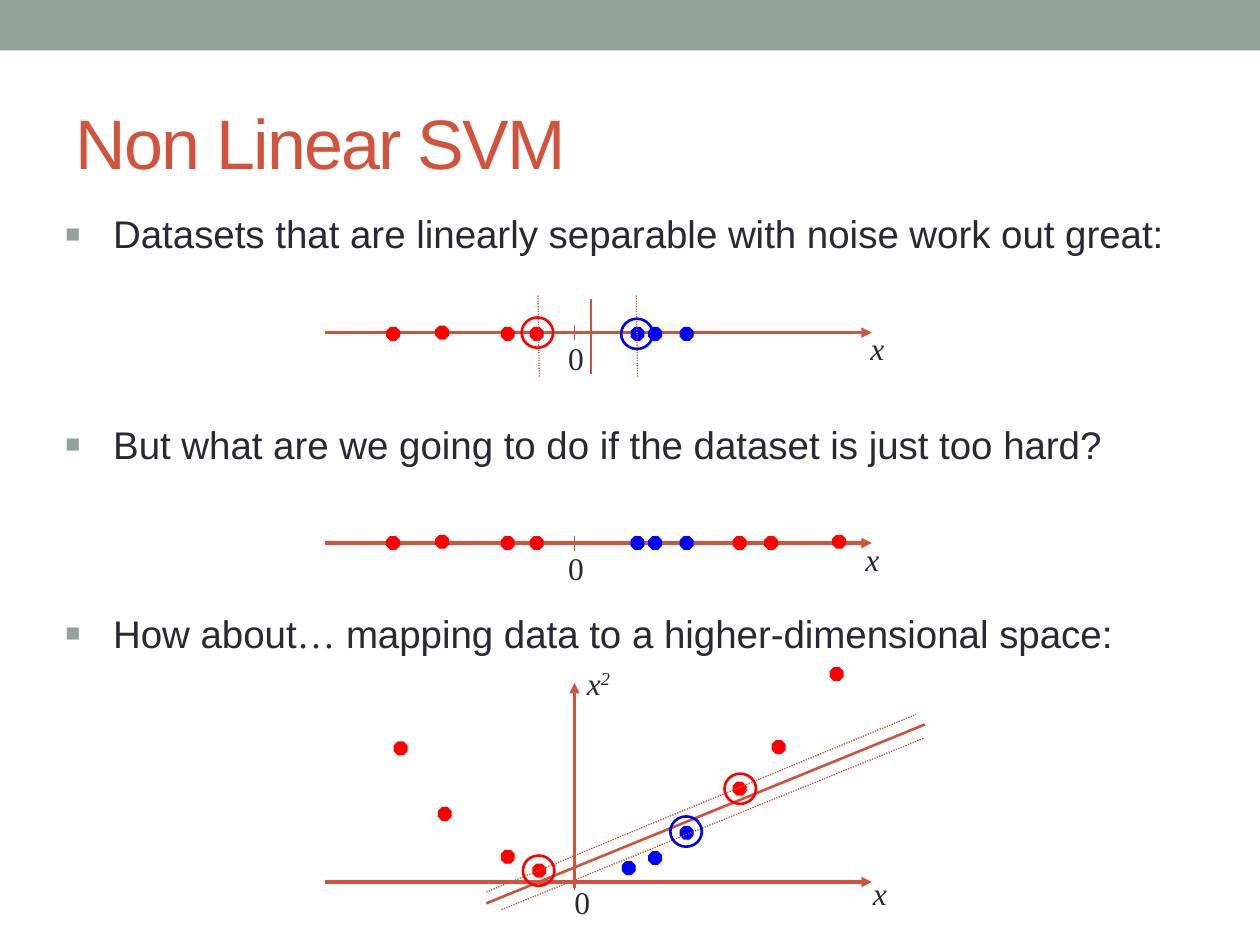
"""Build the slide on non-linear SVMs with three plots of the data."""
from dataclasses import dataclass

from lxml import etree
from pptx import Presentation
from pptx.dml.color import RGBColor
from pptx.enum.dml import MSO_LINE
from pptx.enum.shapes import MSO_CONNECTOR, MSO_SHAPE
from pptx.enum.text import MSO_ANCHOR
from pptx.oxml.ns import qn
from pptx.util import Inches, Pt

STRAIGHT = MSO_CONNECTOR.STRAIGHT
RECTANGLE, OCTAGON, OVAL = MSO_SHAPE.RECTANGLE, MSO_SHAPE.OCTAGON, MSO_SHAPE.OVAL
DOTTED = MSO_LINE.ROUND_DOT
TOP, MIDDLE = MSO_ANCHOR.TOP, MSO_ANCHOR.MIDDLE


@dataclass(frozen=True)
class Theme:
    accent: RGBColor = RGBColor.from_string("D2533C")
    band: RGBColor = RGBColor.from_string("93A299")
    text: RGBColor = RGBColor.from_string("292934")
    red: RGBColor = RGBColor.from_string("FF0000")
    blue: RGBColor = RGBColor.from_string("0000FF")
    sans: str = "Arial"
    serif: str = "Times New Roman"
    title_size: Pt = Pt(40)
    body_size: Pt = Pt(22)
    label_size: Pt = Pt(18)
    axis_width: Pt = Pt(2)
    separator_width: Pt = Pt(1.5)
    thin_width: Pt = Pt(0.75)


theme = Theme()
presentation = Presentation()
presentation.slide_width, presentation.slide_height = Inches(10), Inches(7.5)
slide = presentation.slides.add_slide(presentation.slide_layouts[6])


def add_text(box, runs, size, color, space_before=0, anchor=TOP):
    shape = slide.shapes.add_textbox(*map(Inches, box))
    frame = shape.text_frame
    frame.word_wrap = True
    frame.vertical_anchor = anchor
    paragraph = frame.paragraphs[0]
    paragraph.space_before = Pt(space_before)
    for text, font_name, italic in runs:
        run = paragraph.add_run()
        run.text = text
        run.font.name = font_name
        run.font.size = size
        run.font.italic = italic
        run.font.color.rgb = color
    return paragraph


def add_line(start, end, width, dash=None, arrow=False):
    line = slide.shapes.add_connector(STRAIGHT, *map(Inches, (*start, *end)))
    line.line.color.rgb = theme.accent
    line.line.width = width
    if dash:
        line.line.dash_style = dash
    if arrow:
        etree.SubElement(line.line._get_or_add_ln(), qn("a:tailEnd"), type="triangle")
    etree.SubElement(line._element.spPr, qn("a:effectLst"))


band = slide.shapes.add_shape(RECTANGLE, 0, 0, Inches(10), Inches(0.4))
band.shadow.inherit = False
band.fill.solid()
band.fill.fore_color.rgb = theme.band
band.line.fill.background()

title = add_text((0.5, 0.58, 9, 1.08), [("Non Linear SVM", theme.sans, False)],
                 theme.title_size, theme.accent, anchor=MIDDLE)
title.runs[0].font._element.set("spc", "-100")

bullets = [
    (1.62, 0.58, [("Datasets that are linearly separable with noise work out great:", theme.sans, False)]),
    (3.29, 0.67, [("But what are we going to do if the dataset is just too hard?", theme.sans, False)]),
    (4.79, 0.5, [("How about", theme.sans, False), ("…", theme.serif, False),
                 (" mapping data to a higher-dimensional space:", theme.sans, False)]),
]
for top, height, runs in bullets:
    paragraph = add_text((0.42, top, 9, height), runs, theme.body_size, theme.text, 3)
    properties = paragraph._p.get_or_add_pPr()
    properties.set("marL", str(Inches(0.38)))
    properties.set("indent", str(Inches(-0.38)))
    bullet_color = etree.SubElement(properties, qn("a:buClr"))
    etree.SubElement(bullet_color, qn("a:srgbClr"), val=str(theme.band))
    etree.SubElement(properties, qn("a:buSzPct"), val="65000")
    etree.SubElement(properties, qn("a:buFont"), typeface=theme.sans)
    etree.SubElement(properties, qn("a:buChar"), char="■")

origin = 4.56
axis_heights = [2.64, 4.31, 7]
for height in axis_heights:
    add_line((2.58, height), (6.92, height), theme.axis_width, arrow=True)
    add_line((origin, height - 0.06), (origin, height + 0.06), theme.thin_width)
add_line((origin, 7.05), (origin, 5.42), theme.axis_width, arrow=True)

easy_reds = [(3.12, 0), (3.51, -0.01), (4.03, 0), (4.26, 0)]
hard_reds = easy_reds + [(5.87, 0), (6.12, 0), (6.66, -0.01)]
blues = [(5.06, 0), (5.2, 0), (5.45, 0)]
mapped_reds = [(3.18, 5.94), (3.53, 6.46), (4.03, 6.8), (4.28, 6.91),
               (5.87, 6.26), (6.18, 5.93), (6.64, 5.35)]
mapped_blues = [(4.99, 6.89), (5.2, 6.81), (5.45, 6.61)]
point_sets = [
    (2.65, easy_reds, theme.red), (2.65, blues, theme.blue),
    (4.31, hard_reds, theme.red), (4.31, blues, theme.blue),
    (0, mapped_reds, theme.red), (0, mapped_blues, theme.blue),
]
for base, points, color in point_sets:
    for x, y in points:
        point = slide.shapes.add_shape(OCTAGON, Inches(x - 0.05), Inches(base + y - 0.05),
                                       Inches(0.1), Inches(0.1))
        point.shadow.inherit = False
        point.fill.solid()
        point.fill.fore_color.rgb = color
        point.line.color.rgb = color
        point.line.width = theme.thin_width

separators = [((4.69, 2.37), (4.69, 2.97)), ((3.86, 7.17), (7.34, 5.75))]
margins = [((5.06, 2.99), (5.05, 2.34)), ((4.28, 2.99), (4.27, 2.34)),
           ((3.86, 7.08), (7.27, 5.67)), ((3.98, 7.22), (7.33, 5.86))]
for start, end in separators:
    add_line(start, end, theme.separator_width)
for start, end in margins:
    add_line(start, end, theme.thin_width, DOTTED)

support_vectors = [
    (4.93, 2.53, theme.blue), (4.14, 2.52, theme.red),
    (5.75, 6.14, theme.red), (5.32, 6.48, theme.blue), (4.15, 6.79, theme.red),
]
for left, top, color in support_vectors:
    ring = slide.shapes.add_shape(OVAL, Inches(left), Inches(top), Inches(0.25), Inches(0.24))
    ring.shadow.inherit = False
    ring.fill.background()
    ring.line.color.rgb = color
    ring.line.width = theme.separator_width

for left, top in [(4.41, 2.64), (4.41, 4.31), (4.46, 6.96)]:
    add_text((left, top, 0.38, 0.4), [("0", theme.serif, False)], theme.label_size, theme.text, 2)
for left, top in [(6.81, 2.56), (6.77, 4.24), (6.83, 6.89)]:
    add_text((left, top, 0.5, 0.4), [("x", theme.serif, True)], theme.label_size, theme.text, 2)
square = add_text((origin, 5.22, 0.5, 0.4), [("x", theme.serif, True), ("2", theme.serif, True)],
                  theme.label_size, theme.text, 2)
square.runs[1].font._element.set("baseline", "30000")

presentation.save("out.pptx")
